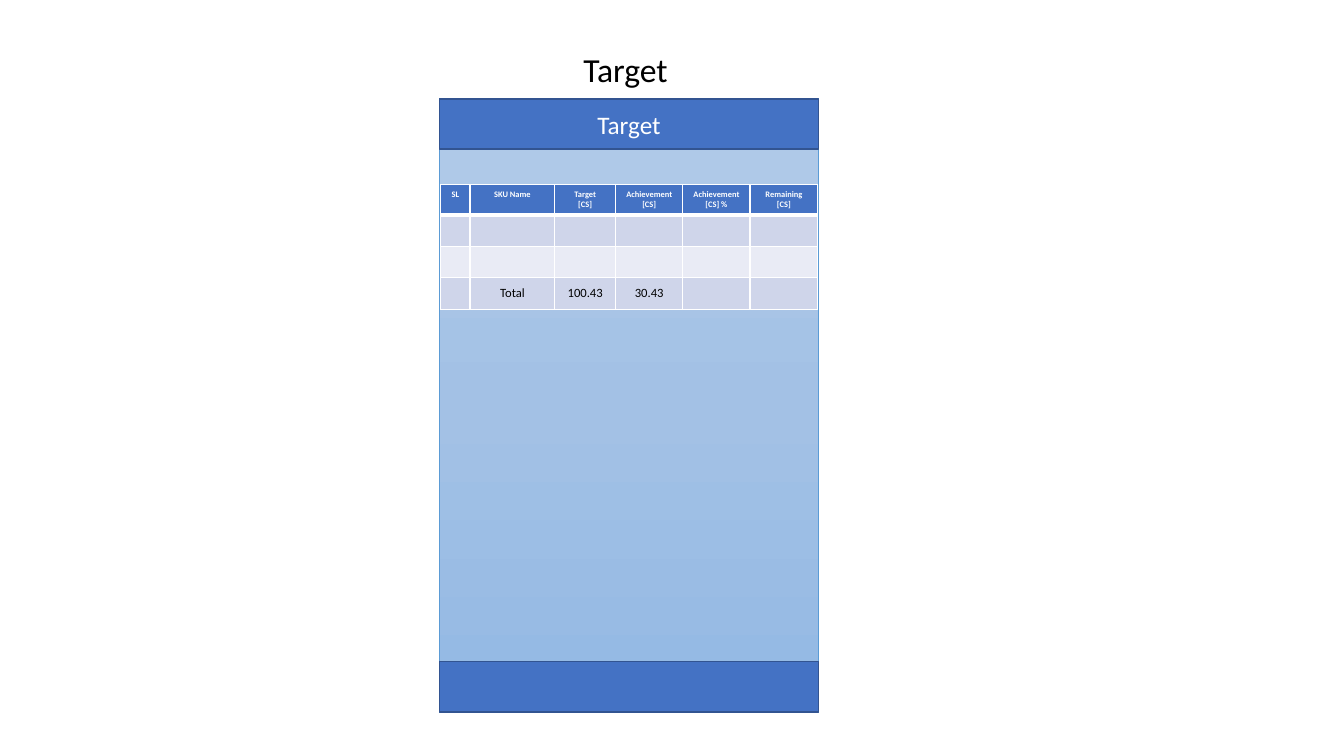
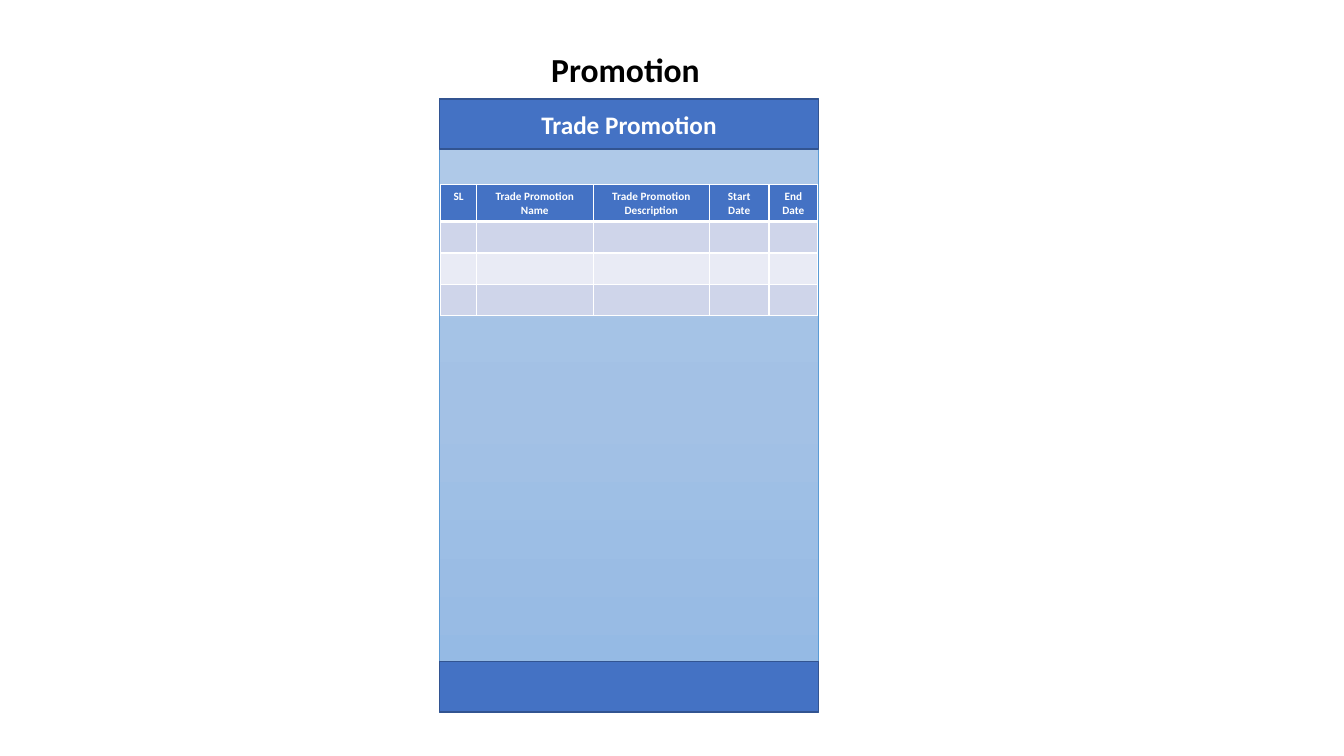
from copy import deepcopy

from lxml import etree
from pptx import Presentation
from pptx.dml import color
from pptx.enum import shapes, text
from pptx.oxml import ns
from pptx.util import Pt

FONT = "Calibri"
WHITE, BLACK = "FFFFFF", "000000"
BLUE, NAVY, SKY = "4472C4", "325491", "5B9BD5"
FADE = ("B1CBE9", "A3C1E5", "93B9E4")
BANDS = ("CFD5EA", "E9EBF5")

LEFT, TOP, WIDTH, HEIGHT = 314, 70.6, 270.6, 438
BAR = 36
MID = 446.8  # centre of the slide titles


def rgb(code):
    return color.RGBColor.from_string(code)


def write(frame, words, size=9, ink=BLACK, bold=False):
    """Fill a frame with centred text, one paragraph per line."""
    frame.text = words
    for para in frame.paragraphs:
        para.alignment = text.PP_ALIGN.CENTER
        for run in para.runs:
            font = run.font
            font.name, font.size, font.bold = FONT, Pt(size), bold
            font.color.rgb = rgb(ink)


def shrink(frame, size):
    """Set the text size of an empty frame, so that its row stays low."""
    para = frame.paragraphs[0]._p
    etree.SubElement(para, ns.qn("a:endParaRPr"), sz=str(size * 100))


def edge(cell, side, width):
    props = cell._tc.get_or_add_tcPr()
    line = etree.SubElement(props, ns.qn("a:ln" + side), w=str(Pt(width)))
    fill = etree.SubElement(line, ns.qn("a:solidFill"))
    etree.SubElement(fill, ns.qn("a:srgbClr"), val=WHITE)


class Deck:
    def __init__(self):
        self.show = Presentation()
        self.show.slide_width, self.show.slide_height = Pt(960), Pt(540)
        self.slide = None

    def page(self):
        self.slide = self.show.slides.add_slide(self.show.slide_layouts[6])

    def title(self, words, width, bold):
        box = self.slide.shapes.add_textbox(
            Pt(MID - width / 2), Pt(31.7), Pt(width), Pt(36))
        frame = box.text_frame
        frame.word_wrap = False
        frame.auto_size = text.MSO_AUTO_SIZE.SHAPE_TO_FIT_TEXT
        write(frame, words, size=24, bold=bold)

    def rect(self, group, top, height, line, weight):
        box = group.shapes.add_shape(
            shapes.MSO_SHAPE.RECTANGLE, Pt(LEFT), Pt(top), Pt(WIDTH), Pt(height))
        box.shadow.inherit = False
        box.line.color.rgb = rgb(line)
        box.line.width = Pt(weight)
        return box

    def bar(self, group, top):
        box = self.rect(group, top, BAR, NAVY, 1)
        box.fill.solid()
        box.fill.fore_color.rgb = rgb(BLUE)
        return box

    def panel(self, words, bold):
        """Draw the app screen with its header and footer bars."""
        group = self.slide.shapes.add_group_shape()
        body = self.rect(group, TOP, HEIGHT, SKY, 0.5)
        body.fill.gradient()
        body.fill.gradient_angle = 270
        stops = body.element.xpath(".//a:gsLst")[0]
        stops.append(deepcopy(stops[0]))
        for i, (stop, code) in enumerate(zip(body.fill.gradient_stops, FADE)):
            stop.position = i / 2
            stop.color.rgb = rgb(code)
        head = self.bar(group, TOP)
        head.text_frame.vertical_anchor = text.MSO_ANCHOR.MIDDLE
        write(head.text_frame, words, size=18, ink=WHITE, bold=bold)
        self.bar(group, TOP + HEIGHT - BAR)

    def table(self, widths, rows, size):
        """Draw a banded table whose header text has the given size."""
        high = 22.5
        grid = self.slide.shapes.add_table(
            len(rows), len(widths), Pt(314.8), Pt(131.8),
            Pt(sum(widths)), Pt(high * len(rows))).table
        for col, width in zip(grid.columns, widths):
            col.width = Pt(width)
        for r, row in enumerate(rows):
            grid.rows[r].height = Pt(high if r else 19.5)
            for c, words in enumerate(row):
                self.cell(grid.cell(r, c), r, words, size)

    def cell(self, cell, r, words, size):
        head = r == 0
        for side in "LRTB":
            thick = (head and side == "B") or (r == 1 and side == "T")
            edge(cell, side, 3 if thick else 1)
        cell.fill.solid()
        cell.fill.fore_color.rgb = rgb(BLUE if head else BANDS[(r - 1) % 2])
        if head:
            write(cell.text_frame, words, size=size, ink=WHITE, bold=True)
        elif words:
            cell.vertical_anchor = text.MSO_ANCHOR.MIDDLE
            write(cell.text_frame, words)
        else:
            shrink(cell.text_frame, 9)


def main():
    deck = Deck()

    deck.page()
    deck.title("Target", 75.6, bold=False)
    deck.panel("Target", bold=False)
    deck.table(
        [21, 60.5, 43.5, 48, 48, 48.5],
        [["SL", "SKU Name", "Target\n[CS]", "Achievement\v[CS]",
          "Achievement\v[CS] %", "Remaining [CS]"],
         [""] * 6,
         [""] * 6,
         ["", "Total", "100.43", "30.43", "", ""]],
        size=6)

    deck.page()
    deck.title("Promotion", 121.7, bold=True)
    deck.panel("Trade Promotion", bold=True)
    deck.table(
        [25.5, 83.5, 83, 42.5, 35],
        [["SL", "Trade Promotion\nName", "Trade Promotion\nDescription",
          "Start Date", "End Date"]] + [[""] * 5] * 3,
        size=8)

    deck.show.save("out.pptx")


if __name__ == "__main__":
    main()
